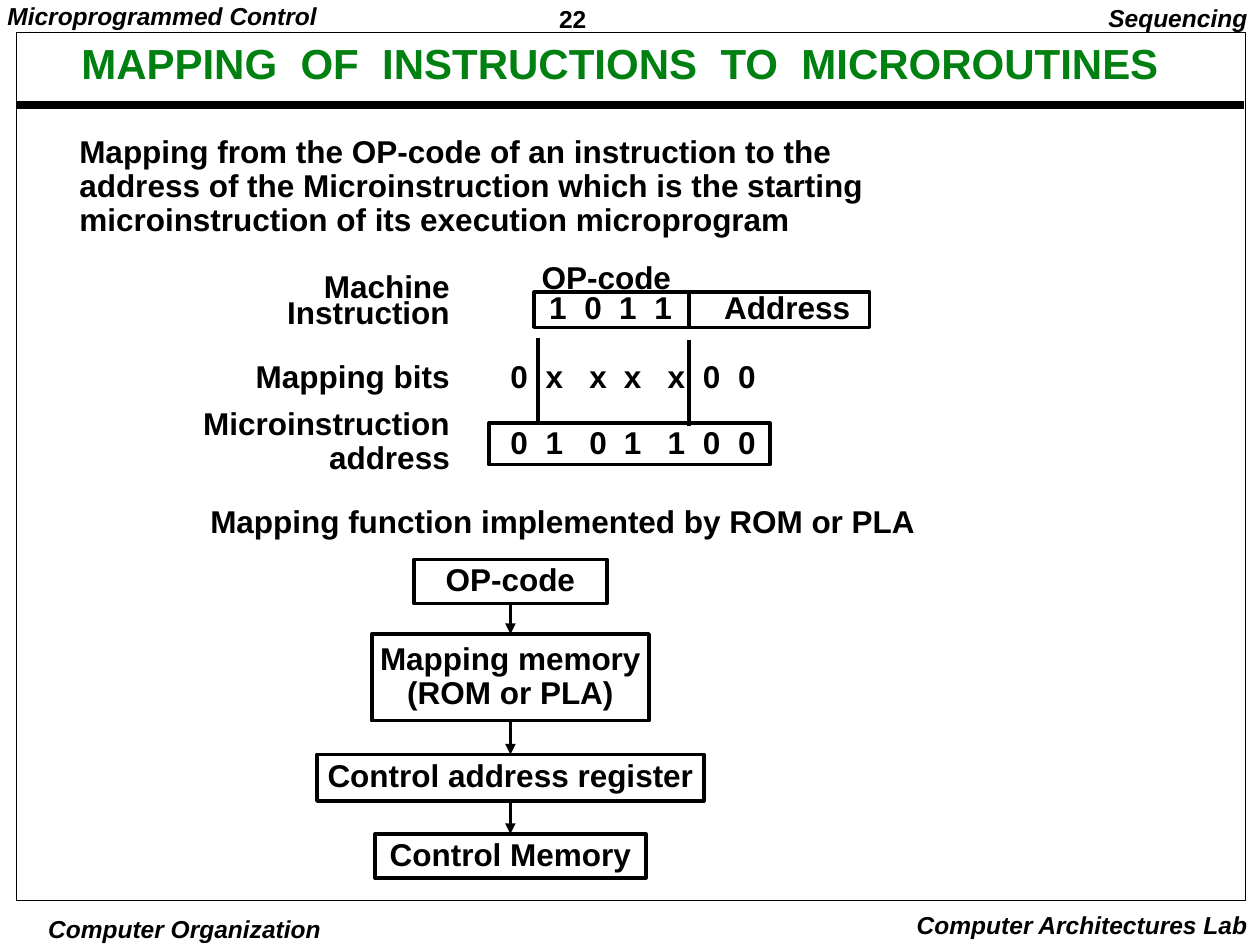
from itertools import pairwise

from lxml.etree import SubElement
from pptx import Presentation
from pptx.dml.color import RGBColor
from pptx.enum.shapes import MSO_CONNECTOR as Link, MSO_SHAPE as Shape
from pptx.enum.text import MSO_ANCHOR as Anchor, MSO_AUTO_SIZE as AutoSize, PP_ALIGN as Align
from pptx.oxml.ns import qn
from pptx.util import Cm, Pt

COLORS = {"ink": "000000", "title": "008011"}
FONT = "Arial"


def write(frame, text, size=18, color="ink", italic=False, align=Align.LEFT,
          spacing=0.9, anchor=Anchor.TOP, inset=0, tabs=(), gap=0):
    """Fill a text frame; gap widens the space between words (points)."""
    frame.word_wrap = True
    frame.auto_size = AutoSize.NONE
    frame.vertical_anchor = anchor
    frame.margin_left = Cm(inset)
    frame.margin_right = frame.margin_top = frame.margin_bottom = 0
    for number, line in enumerate(text.split("\n")):
        paragraph = frame.add_paragraph() if number else frame.paragraphs[0]
        paragraph.alignment = align
        paragraph.line_spacing = spacing
        paragraph.space_before = Pt(0)
        if tabs:
            stops = SubElement(paragraph._p.get_or_add_pPr(), qn("a:tabLst"))
            for stop in tabs:
                SubElement(stops, qn("a:tab"), pos=str(Cm(stop)), algn="l")
        words = line.split(" ") if gap else [line]
        for position, word in enumerate(words):
            if position:
                space = paragraph.add_run()
                space.text = " "
                space._r.get_or_add_rPr().set("spc", str(round(gap * 100)))
            paragraph.add_run().text = word
        for run in paragraph.runs:
            font = run.font
            font.name, font.size = FONT, Pt(size)
            font.bold, font.italic = True, italic
            font.color.rgb = RGBColor.from_string(COLORS[color])


class Sketch:
    """Drawing style and the slide being drawn; lengths in centimetres."""

    def __init__(self, slide, weight=2):
        self.slide = slide
        self.weight = weight

    def stroke(self, line, weight):
        line.color.rgb = RGBColor.from_string(COLORS["ink"])
        line.width = Pt(weight or self.weight)

    def title(self, text, left, top, width, height, **style):
        title = self.slide.shapes.title
        title.left, title.top, title.width, title.height = map(Cm, (left, top, width, height))
        write(title.text_frame, text, **style)

    def label(self, text, left, top, width, height, **style):
        box = self.slide.shapes.add_textbox(*map(Cm, (left, top, width, height)))
        write(box.text_frame, text, **style)

    def box(self, left, top, width, height, text="", weight=None, **style):
        box = self.slide.shapes.add_shape(
            Shape.RECTANGLE, *map(Cm, (left, top, width, height)))
        box.shadow.inherit = False
        box.fill.background()
        self.stroke(box.line, weight)
        if text:
            write(box.text_frame, text, anchor=Anchor.MIDDLE, **style)
        return box

    def line(self, x1, y1, x2, y2, weight=None):
        line = self.slide.shapes.add_connector(Link.STRAIGHT, *map(Cm, (x1, y1, x2, y2)))
        self.stroke(line.line, weight)
        SubElement(line._element.spPr, qn("a:effectLst"))
        return line

    def arrow(self, upper, lower):
        arrow = self.line(0, 0, 0, 0)
        arrow.begin_connect(upper, 2)
        arrow.end_connect(lower, 0)
        SubElement(arrow.line._get_or_add_ln(), qn("a:tailEnd"), type="triangle")


def main():
    deck = Presentation()
    deck.slide_width, deck.slide_height = Cm(25.4), Cm(19.05)
    sketch = Sketch(deck.slides.add_slide(deck.slide_layouts[5]))

    # Page frame, running heads and feet
    sketch.box(0.33, 0.66, 24.77, 17.5, weight=0.5)
    sketch.line(0.33, 2.11, 25.07, 2.11, weight=4.5)
    sketch.label("22", 11.27, 0.08, 1.5, 0.6, size=14, spacing=1)
    for text, left, top, align in (
        ("Microprogrammed Control", 0.15, 0.08, Align.LEFT),
        ("Sequencing", 17.15, 0.13, Align.RIGHT),
        ("Computer Organization", 0.97, 18.42, Align.LEFT),
        ("Computer Architectures Lab", 17.15, 18.34, Align.RIGHT),
    ):
        spacing = 0.9 if top < 1 else 1
        sketch.label(text, left, top, 8, 0.6, size=14, italic=True,
                     align=align, spacing=spacing)

    # Title and introduction
    sketch.title("MAPPING OF INSTRUCTIONS TO MICROROUTINES", 0, 0.51, 24.99, 1.65,
                 size=24, color="title", align=Align.CENTER, anchor=Anchor.MIDDLE, gap=6.67)
    sketch.label("Mapping from the OP-code of an instruction to the\n"
                 "address of the Microinstruction which is the starting\n"
                 "microinstruction of its execution microprogram", 1.6, 2.74, 18, 2.1)

    # Row labels of the mapping
    for text, top, spacing in (
        ("Machine\nInstruction", 5.59, 0.7),
        ("Mapping bits", 7.29, 0.9),
        ("Microinstruction\naddress", 8.23, 0.9),
    ):
        sketch.label(text, 2.07, top, 7, 1.4, align=Align.RIGHT, spacing=spacing)

    # Machine instruction
    sketch.label("OP-code", 10.92, 5.28, 3, 0.7)
    sketch.box(10.77, 5.89, 6.76, 0.71, "1\t0\t1\t1\tAddress", inset=0.3,
               tabs=(0.71, 1.41, 2.12, 3.53))
    sketch.line(13.89, 5.89, 13.89, 6.63)

    # Mapping bits and the resulting address
    bit_tabs = (0.71, 1.59, 2.29, 3.17, 3.88, 4.59)
    sketch.label("0\tx\tx\tx\tx\t0\t0", 10.29, 7.29, 5.5, 0.7, tabs=bit_tabs)
    sketch.line(10.85, 6.81, 10.85, 8.51)
    sketch.line(13.89, 6.86, 13.89, 8.59)
    sketch.box(9.86, 8.53, 5.66, 0.84, "0\t1\t0\t1\t1\t0\t0", inset=0.43, tabs=bit_tabs)

    # Mapping function as a chain of blocks
    sketch.label("Mapping function implemented by ROM or PLA", 4.24, 10.21, 16, 0.7)
    center = 10.29
    blocks = [
        sketch.box(center - width / 2, top, width, height, text, align=Align.CENTER)
        for text, top, width, height in (
            ("OP-code", 11.28, 3.89, 0.89),
            ("Mapping memory\n(ROM or PLA)", 12.78, 5.59, 1.75),
            ("Control address register", 15.21, 7.8, 0.94),
            ("Control Memory", 16.81, 5.46, 0.89),
        )
    ]
    for upper, lower in pairwise(blocks):
        sketch.arrow(upper, lower)

    deck.save("out.pptx")


if __name__ == "__main__":
    main()
